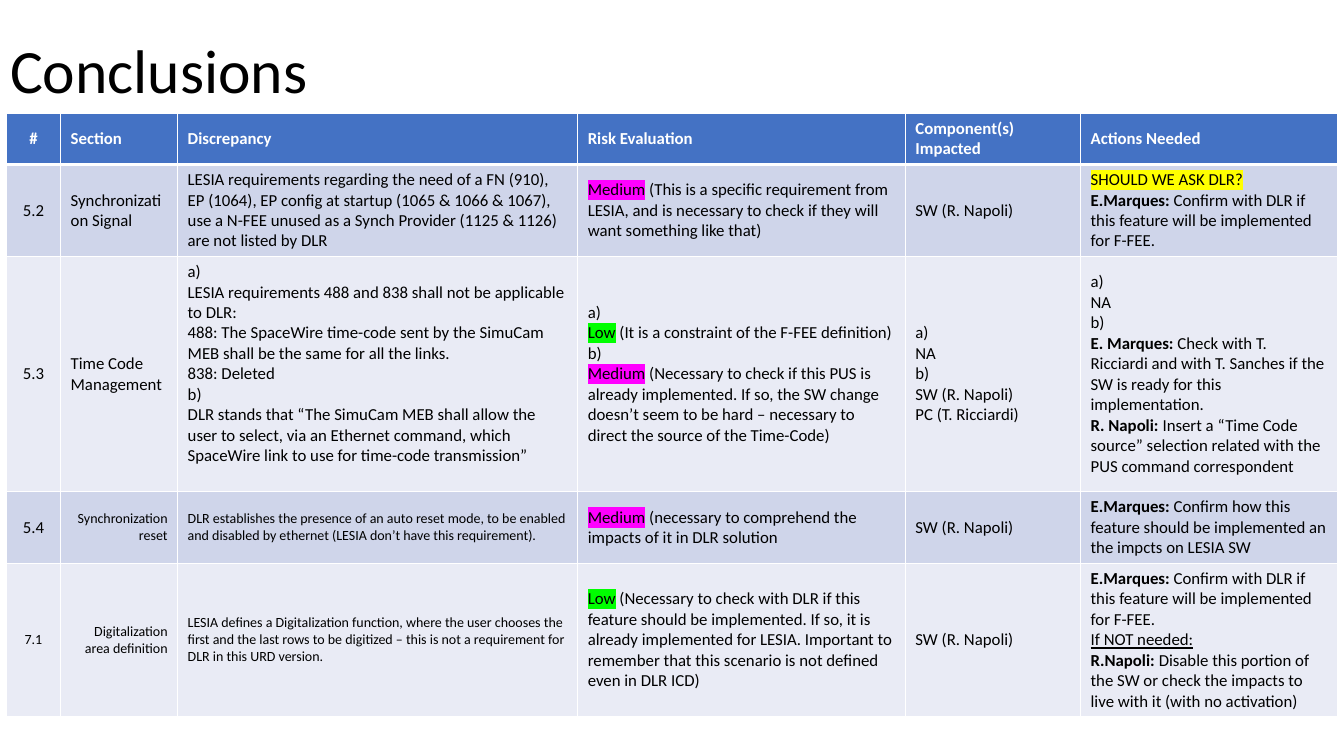
"""Build the conclusions slide: a title above a table of discrepancies."""
from lxml.etree import SubElement as Sub
from pptx import Presentation
from pptx.dml.color import RGBColor as RGB
from pptx.enum.text import MSO_ANCHOR as Anchor, PP_ALIGN as Align
from pptx.oxml.ns import qn
from pptx.util import Pt

BLACK = RGB(0, 0, 0)
WHITE = RGB(0xFF, 0xFF, 0xFF)
BLUE = RGB(0x44, 0x72, 0xC4)
BANDS = (RGB(0xCF, 0xD5, 0xEA), RGB(0xE9, 0xEB, 0xF5))
PINK = RGB(0xFF, 0, 0xFF)
GREEN = RGB(0, 0xFF, 0)
YELLOW = RGB(0xFF, 0xFF, 0)

BOLD, UNDER = "bold", "under"
LOW, MEDIUM = ("Low", GREEN), ("Medium", PINK)
LEAD = ("E.Marques: ", BOLD)
OWNER = "SW (R. Napoli)"
CONFIRM = "Confirm with DLR if this feature will be implemented for F-FEE."

COLS = (38.8, 83.6, 285.8, 234, 125.2, 183.6)
ROWS = (36.5, 65.5, 168, 51, 109)
HEADS = ("#", "Section", "Discrepancy", "Risk Evaluation",
         "Component(s) Impacted", "Actions Needed")
BODY = (
    ("5.2", "Synchronization Signal",
     "LESIA requirements regarding the need of a FN (910), EP (1064), EP config at "
     "startup (1065 & 1066 & 1067), use a N-FEE unused as a Synch Provider "
     "(1125 & 1126) are not listed by DLR",
     [(MEDIUM, " (This is a specific requirement from LESIA, and is necessary to "
       "check if they will want something like that)")],
     OWNER,
     [(("SHOULD WE ASK DLR?", YELLOW),), (LEAD, CONFIRM)]),
    ("5.3", "Time Code Management",
     ["a)",
      "LESIA requirements 488 and 838 shall not be applicable to DLR:",
      "488: The SpaceWire time-code sent by the SimuCam MEB shall be the same "
      "for all the links.",
      "838: Deleted",
      "b)",
      "DLR stands that “The SimuCam MEB shall allow the user to select, via an "
      "Ethernet command, which SpaceWire link to use for time-code transmission”"],
     ["a)",
      (LOW, " (It is a constraint of the F-FEE definition)"),
      "b)",
      (MEDIUM, " (Necessary to check if this PUS is already implemented. If so, the "
       "SW change doesn’t seem to be hard – necessary to direct the source of the "
       "Time-Code)")],
     ["a)", "NA", "b)", OWNER, "PC (T. Ricciardi)"],
     ["a)", "NA", "b)",
      (("E. Marques: ", BOLD), "Check with T. Ricciardi and with T. Sanches if the "
       "SW is ready for this implementation."),
      (("R. Napoli: ", BOLD), "Insert a “Time Code source” selection related with "
       "the PUS command correspondent")]),
    ("5.4", "Synchronization reset",
     "DLR establishes the presence of an auto reset mode, to be enabled and disabled "
     "by ethernet (LESIA don’t have this requirement).",
     [(MEDIUM, " (necessary to comprehend the impacts of it in DLR solution")],
     OWNER,
     [(LEAD, "Confirm how this feature should be implemented an the impcts on "
       "LESIA SW")]),
    ("7.1", "Digitalization area definition",
     "LESIA defines a Digitalization function, where the user chooses the first and "
     "the last rows to be digitized – this is not a requirement for DLR in this URD "
     "version.",
     [(LOW, " (Necessary to check with DLR if this feature should be implemented. If "
       "so, it is already implemented for LESIA. Important to remember that this "
       "scenario is not defined even in DLR ICD)")],
     OWNER,
     [(LEAD, CONFIRM),
      (("If NOT needed:", UNDER),),
      (("R.Napoli: ", BOLD), "Disable this portion of the SW or check the impacts to "
       "live with it (with no activation)")]),
)
SMALL = {(3, 1), (3, 2), (4, 0), (4, 1), (4, 2)}
RIGHT = {(3, 1), (4, 1)}


class Deck:
    """Hold the style and the current slide."""

    def __init__(self, wide, high):
        self.face = "Calibri"
        self.prs = Presentation()
        self.prs.slide_width, self.prs.slide_height = Pt(wide), Pt(high)
        self.slide = self.prs.slides.add_slide(self.prs.slide_layouts[5])

    def style(self, par, size, color, bold=False, align=Align.LEFT):
        par.alignment = align
        font = par.font
        font.name, font.size, font.bold = self.face, Pt(size), bold
        font.color.rgb = color

    def title(self, text, left, top, wide, high):
        box = self.slide.shapes.title
        box.left, box.top, box.width, box.height = map(Pt, (left, top, wide, high))
        frame = box.text_frame
        frame.text = text
        frame.vertical_anchor = Anchor.MIDDLE
        par = frame.paragraphs[0]
        self.style(par, 44, BLACK)
        par.line_spacing = 0.9

    def run(self, par, part):
        text, mark = (part, None) if isinstance(part, str) else part
        run = par.add_run()
        run.text = text
        if mark == BOLD:
            run.font.bold = True
        elif mark == UNDER:
            run.font.underline = True
        elif mark is not None:
            light = Sub(run.font._element, qn("a:highlight"))
            Sub(light, qn("a:srgbClr"), val=str(mark))

    def edges(self, cell, base):
        props = cell._tc.get_or_add_tcPr()
        for side, size in zip("LRTB", (1, 1, 1, base)):
            line = Sub(props, qn(f"a:ln{side}"), w=str(Pt(size)))
            Sub(Sub(line, qn("a:solidFill")), qn("a:srgbClr"), val=str(WHITE))

    def cell(self, cell, text, fill, base, **style):
        self.edges(cell, base)
        cell.fill.solid()
        cell.fill.fore_color.rgb = fill
        cell.vertical_anchor = Anchor.MIDDLE
        frame = cell.text_frame
        for num, parts in enumerate([text] if isinstance(text, str) else text):
            par = frame.add_paragraph() if num else frame.paragraphs[0]
            self.style(par, **style)
            for part in [parts] if isinstance(parts, str) else parts:
                self.run(par, part)

    def table(self, left, top, cols, rows, data):
        grid = self.slide.shapes.add_table(
            len(rows), len(cols), Pt(left), Pt(top), Pt(sum(cols)), Pt(sum(rows))).table
        for col, wide in zip(grid.columns, cols):
            col.width = Pt(wide)
        for row, high in zip(grid.rows, rows):
            row.height = Pt(high)
        for r, line in enumerate(data):
            head = r == 0
            for c, text in enumerate(line):
                align = Align.RIGHT if (r, c) in RIGHT else Align.LEFT
                self.cell(grid.cell(r, c), text,
                          BLUE if head else BANDS[(r - 1) % 2], 3 if head else 1,
                          size=10 if (r, c) in SMALL else 12,
                          color=WHITE if head else BLACK, bold=head,
                          align=Align.CENTER if c == 0 else align)
        return grid


def main():
    deck = Deck(960, 540)
    deck.title("Conclusions", 0, 0, 237, 104.5)
    grid = deck.table(4.5, 81, COLS, ROWS, (HEADS, *BODY))
    grid.cell(2, 2).margin_bottom = Pt(18.2)
    deck.prs.save("out.pptx")


if __name__ == "__main__":
    main()
